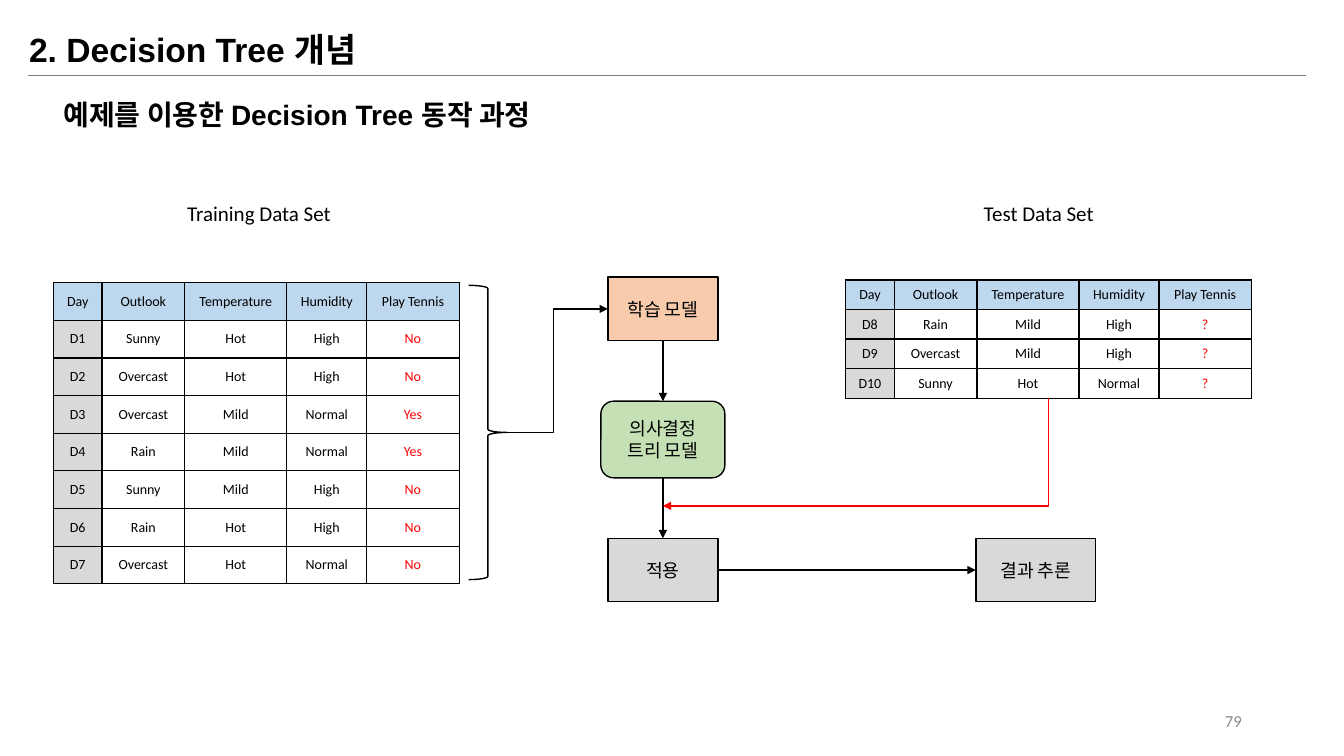
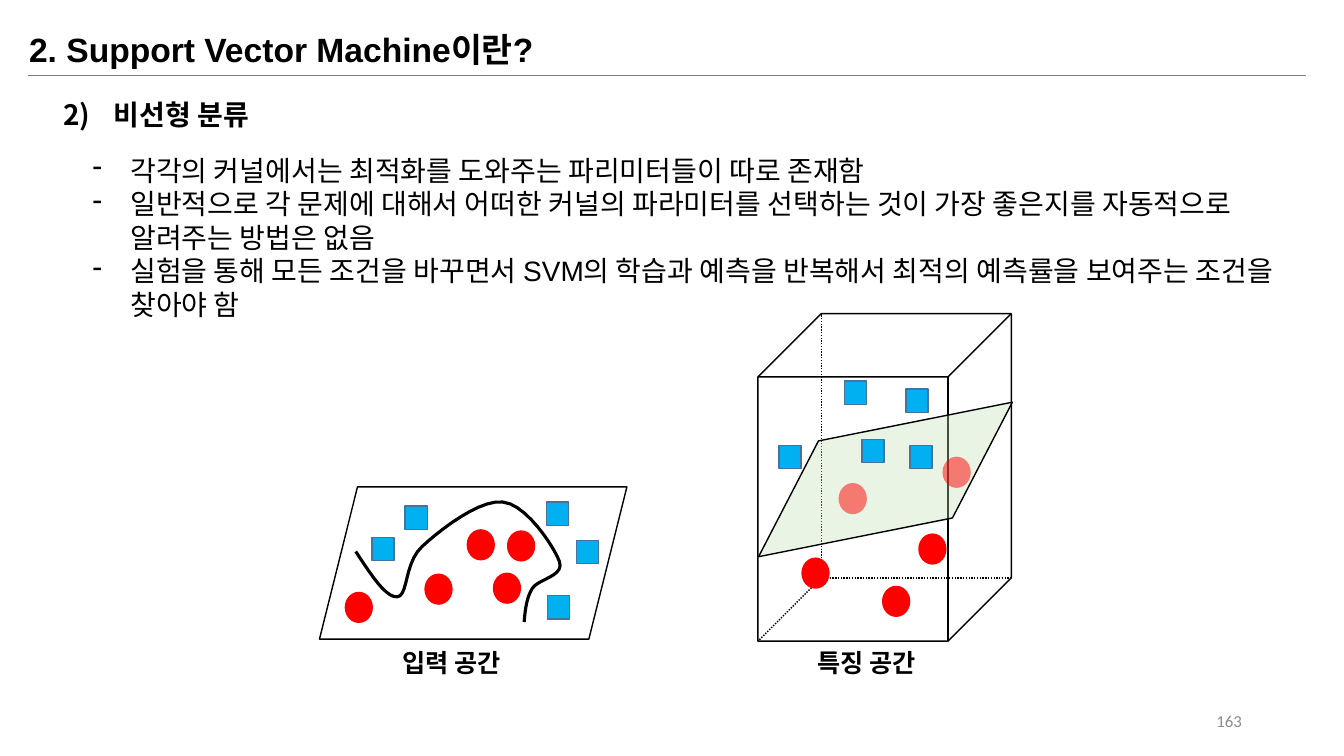
import lxml.etree
import pptx
import pptx.dml.color
import pptx.enum.dml
import pptx.enum.shapes
import pptx.enum.text
import pptx.oxml.ns
import pptx.util

Pt = pptx.util.Pt
qn = pptx.oxml.ns.qn
SHAPE = pptx.enum.shapes.MSO_SHAPE
CONNECTOR = pptx.enum.shapes.MSO_CONNECTOR
ALIGN = pptx.enum.text.PP_ALIGN
ANCHOR = pptx.enum.text.MSO_ANCHOR

BLACK, WHITE, RED = "000000", "FFFFFF", "FF0000"
RULE, PAGE_GREY = "7F7F7F", "8C8C8C"
HEAD_BLUE, GREY, ORANGE, GREEN = "BDD7EE", "D9D9D9", "F8CBAD", "C5E0B4"
SQUARE_FILL, SQUARE_LINE = "00B0F0", "43739E"
HEADING_FONT, LABEL_FONT = "Arial", "Calibri"

COLUMNS = [34.6, 59.2, 72.9, 57.1, 66]
HEADINGS = ["Day", "Outlook", "Temperature", "Humidity", "Play Tennis"]
TRAINING = [
    ["D1", "Sunny", "Hot", "High", "No"],
    ["D2", "Overcast", "Hot", "High", "No"],
    ["D3", "Overcast", "Mild", "Normal", "Yes"],
    ["D4", "Rain", "Mild", "Normal", "Yes"],
    ["D5", "Sunny", "Mild", "High", "No"],
    ["D6", "Rain", "Hot", "High", "No"],
    ["D7", "Overcast", "Hot", "Normal", "No"],
]
TEST = [
    ["D8", "Rain", "Mild", "High", "?"],
    ["D9", "Overcast", "Mild", "High", "?"],
    ["D10", "Sunny", "Hot", "Normal", "?"],
]
KERNEL_NOTES = [
    "각각의 커널에서는 최적화를 도와주는 파리미터들이 따로 존재함",
    "일반적으로 각 문제에 대해서 어떠한 커널의 파라미터를 선택하는 것이 가장 좋은지를 자동적으로 알려주는 방법은 없음",
    "실험을 통해 모든 조건을 바꾸면서 SVM의 학습과 예측을 반복해서 최적의 예측률을 보여주는 조건을 찾아야 함",
]
CURVE = [
    (25.9, 46.1), (36.7, 62.6), (47.5, 79.2), (55.4, 78.5),
    (63.4, 78.5), (60.5, 54), (73.4, 42.5),
    (85.7, 31), (114.5, 8.6), (131, 10.8),
    (147.6, 12.2), (167.8, 43.2), (171.4, 53.3),
    (175, 64.1), (156.2, 65.5), (151.9, 72.7),
    (147.6, 79.9), (146.9, 88.6), (146.2, 96.5),
]


def rgb(value):
    return pptx.dml.color.RGBColor.from_string(value)


def sub(parent, tag, **attrs):
    return lxml.etree.SubElement(parent, qn(tag), **attrs)


def style(p, size, font, color=BLACK, bold=False, align=ALIGN.LEFT):
    p.alignment = align
    p.font.size = Pt(size)
    p.font.name = font
    p.font.bold = bold
    p.font.color.rgb = rgb(color)


def add_bullet(p, indent, tag, **attrs):
    pPr = p._p.get_or_add_pPr()
    pPr.set("marL", str(Pt(indent)))
    pPr.set("indent", str(-Pt(indent)))
    sub(pPr, tag, **attrs)


def add_text(shapes, box, lines, size, font, bullet=None, anchor=ANCHOR.TOP, **look):
    tf = shapes.add_textbox(*map(Pt, box)).text_frame
    tf.word_wrap = True
    tf.vertical_anchor = anchor
    for i, line in enumerate(lines):
        p = tf.paragraphs[0] if i == 0 else tf.add_paragraph()
        p.text = line
        if bullet:
            indent, tag, attrs = bullet
            add_bullet(p, indent, tag, **attrs)
        style(p, size, font, **look)


def set_alpha(sp, percent):
    color = sp.element.spPr.find(qn("a:solidFill"))[0]
    sub(color, "a:alpha", val=str(percent * 1000))


def add_shape(shapes, kind, box, fill=None, line=BLACK, alpha=None):
    sp = shapes.add_shape(kind, *map(Pt, box))
    sp.shadow.inherit = False
    if fill:
        sp.fill.solid()
        sp.fill.fore_color.rgb = rgb(fill)
    else:
        sp.fill.background()
    if alpha:
        set_alpha(sp, alpha)
    if line:
        sp.line.color.rgb = rgb(line)
        sp.line.width = Pt(1)
    else:
        sp.line.fill.background()
    return sp


def add_line(shapes, start, end, color=BLACK, width=1, arrow=None, dash=None, bend=None):
    kind = CONNECTOR.STRAIGHT if bend is None else CONNECTOR.ELBOW
    cx = shapes.add_connector(kind, *map(Pt, start + end))
    cx.line.color.rgb = rgb(color)
    cx.line.width = Pt(width)
    if dash:
        cx.line.dash_style = dash
    spPr = cx.element.spPr
    if bend is not None:
        guides = spPr.find(qn("a:prstGeom")).find(qn("a:avLst"))
        sub(guides, "a:gd", name="adj1", fmla=f"val {bend}")
    if arrow:
        sub(spPr.find(qn("a:ln")), arrow, type="triangle")
    sub(spPr, "a:effectLst")
    return cx


def link(shapes, source, source_site, target, target_site):
    cx = add_line(shapes, (0, 0), (1, 1), arrow="a:tailEnd")
    cx.begin_connect(source, source_site)
    cx.end_connect(target, target_site)


def add_step(shapes, kind, box, text, fill):
    sp = add_shape(shapes, kind, box, fill)
    p = sp.text_frame.paragraphs[0]
    p.text = text
    style(p, 13, LABEL_FONT, align=ALIGN.CENTER)
    return sp


def add_frame(prs, title, subtitle, page, bullet=None):
    shapes = prs.slides.add_slide(prs.slide_layouts[6]).shapes
    add_line(shapes, (20.2, 54), (933.1, 54), RULE, 0.5)
    add_text(shapes, (13.7, 17.3, 658.8, 36), [title], 24, HEADING_FONT, bold=True)
    add_text(shapes, (38.2, 66.2, 658.8, 31.7), [subtitle], 20, HEADING_FONT, bullet, bold=True)
    add_text(shapes, (678.2, 500.4, 216, 28.8), [page], 12, LABEL_FONT,
             anchor=ANCHOR.MIDDLE, color=PAGE_GREY, align=ALIGN.RIGHT)
    return shapes


def format_cell(cell, text, fill, color):
    tcPr = cell._tc.get_or_add_tcPr()
    for side in ("a:lnL", "a:lnR", "a:lnT", "a:lnB"):
        ln = sub(tcPr, side, w=str(Pt(1)))
        sub(sub(ln, "a:solidFill"), "a:srgbClr", val=BLACK)
    cell.fill.solid()
    cell.fill.fore_color.rgb = rgb(fill)
    cell.vertical_anchor = ANCHOR.MIDDLE
    p = cell.text_frame.paragraphs[0]
    p.text = text
    style(p, 10, LABEL_FONT, color, align=ALIGN.CENTER)


def add_data_table(shapes, left, top, row_height, records):
    rows = [HEADINGS] + records
    box = (left, top, sum(COLUMNS), row_height * len(rows))
    table = shapes.add_table(len(rows), len(COLUMNS), *map(Pt, box)).table
    table.first_row = table.horz_banding = False
    for column, width in zip(table.columns, COLUMNS):
        column.width = Pt(width)
    for r, record in enumerate(rows):
        table.rows[r].height = Pt(row_height)
        for c, text in enumerate(record):
            fill = HEAD_BLUE if r == 0 else GREY if c == 0 else WHITE
            color = RED if r > 0 and c == len(COLUMNS) - 1 else BLACK
            format_cell(table.cell(r, c), text, fill, color)


def add_flow(shapes, left, top):
    width, height = 78.6, 45.4
    middle = left + width / 2
    apply_top = top + 186.5
    learn = add_step(shapes, SHAPE.RECTANGLE, (left, top, width, height), "학습 모델", ORANGE)
    apply = add_step(shapes, SHAPE.RECTANGLE, (left, apply_top, width, height), "적용", GREY)
    tree = add_step(shapes, SHAPE.ROUNDED_RECTANGLE, (middle - 44.3, top + 88.6, 88.6, 54.7),
                    "의사결정 트리 모델", GREEN)
    result = add_step(shapes, SHAPE.RECTANGLE, (left + 262.8, apply_top, 85.7, height),
                      "결과 추론", GREY)
    link(shapes, learn, 2, tree, 0)
    link(shapes, tree, 2, apply, 0)
    link(shapes, apply, 3, result, 1)
    add_shape(shapes, SHAPE.RIGHT_BRACE, (left - 99.4, top + 5.8, 27.4, 210.2))
    add_line(shapes, (left - 72, top + 110.9), (left, top + height / 2),
             arrow="a:tailEnd", bend=46400)
    add_line(shapes, (middle, top + 163.4), (middle + 275.3, top + 86.4), RED,
             arrow="a:headEnd", bend=100000)


def build_tree_slide(prs):
    shapes = add_frame(prs, "2. Decision Tree 개념", "예제를 이용한 Decision Tree 동작 과정", "79")
    for box, label in [((118.1, 139.7, 133.9, 25.2), "Training Data Set"),
                       ((688.3, 139.7, 107.3, 25.2), "Test Data Set")]:
        add_text(shapes, box, [label], 15, LABEL_FONT, align=ALIGN.CENTER)
    add_data_table(shapes, 38.2, 202, 26.9, TRAINING)
    add_data_table(shapes, 604.1, 200, 21.1, TEST)
    add_flow(shapes, 434.2, 198)


def add_squares(shapes, left, top, places):
    for x, y in places:
        add_shape(shapes, SHAPE.RECTANGLE, (left + x, top + y, 15.8, 16.6),
                  SQUARE_FILL, SQUARE_LINE)


def add_circles(shapes, left, top, places, alpha=None):
    for x, y in places:
        add_shape(shapes, SHAPE.OVAL, (left + x, top + y, 20.2, 22.3), RED, None, alpha)


def bezier(points, t):
    weights = ((1 - t) ** 3, 3 * t * (1 - t) ** 2, 3 * t * t * (1 - t), t ** 3)
    return tuple(sum(w * p[axis] for w, p in zip(weights, points)) for axis in (0, 1))


def add_curve(shapes, left, top, steps=10):
    points = [bezier(CURVE[i:i + 4], s / steps)
              for i in range(0, len(CURVE) - 1, 3) for s in range(1, steps + 1)]
    start, *rest = [(Pt(left + x), Pt(top + y)) for x, y in [CURVE[0]] + points]
    fb = shapes.build_freeform(*start)
    fb.add_line_segments(rest, close=False)
    sp = fb.convert_to_shape()
    sp.shadow.inherit = False
    sp.fill.background()
    sp.line.color.rgb = rgb(BLACK)
    sp.line.width = Pt(2.25)


def add_input_space(shapes, left, top, width, height):
    group = shapes.add_group_shape().shapes
    add_shape(group, SHAPE.PARALLELOGRAM, (left, top, width, height))
    add_squares(group, left, top, [(61.2, 13.7), (37.4, 36), (162, 10.8),
                                   (183.6, 38.2), (162.7, 77.8)])
    add_circles(group, left, top, [(18, 74.9), (74.9, 61.9), (123.8, 61.2),
                                   (105.1, 30.2), (133.9, 31)])
    add_curve(group, left, top)


def add_feature_space(shapes, left, top, width, height):
    group = shapes.add_group_shape().shapes
    add_shape(group, SHAPE.CUBE, (left, top, width, height))
    depth = width / 4
    corner = (left + depth, top + height - depth)
    for end in [(left, top + height), (left + depth, top), (left + width, corner[1])]:
        add_line(group, corner, end, dash=pptx.enum.dml.MSO_LINE.ROUND_DOT)
    plane = add_shape(group, SHAPE.PARALLELOGRAM, (left - 8.6, top + 82.1, 199.4, 72.7),
                      GREEN, alpha=35)
    plane.adjustments[0] = 0.8
    plane.rotation = 348.7
    add_squares(group, left, top, [(61.9, 48.2), (105.8, 54), (74.2, 90),
                                   (108.7, 94.3), (15.1, 94.3)])
    add_circles(group, left, top, [(131.8, 102.2), (57.6, 121)], alpha=50)
    add_circles(group, left, top, [(114.5, 157), (31, 174.2), (88.6, 194.4)])


def build_svm_slide(prs):
    numbered = (36, "a:buAutoNum", {"type": "arabicParenR", "startAt": "2"})
    dashed = (27, "a:buChar", {"char": "-"})
    shapes = add_frame(prs, "2. Support Vector Machine이란?", "비선형 분류", "163", numbered)
    add_text(shapes, (59, 105.8, 870.5, 225.4), KERNEL_NOTES, 20, HEADING_FONT, dashed)
    add_input_space(shapes, 228.2, 347.8, 219.6, 108.7)
    add_feature_space(shapes, 541.4, 224, 181, 234)
    for left, label in [(280.1, "입력 공간"), (576.7, "특징 공간")]:
        add_text(shapes, (left, 458.6, 94.3, 28.8), [label], 18, LABEL_FONT, bold=True)


def main():
    prs = pptx.Presentation()
    prs.slide_width, prs.slide_height = Pt(960), Pt(540)
    build_tree_slide(prs)
    build_svm_slide(prs)
    prs.save("out.pptx")


if __name__ == "__main__":
    main()
